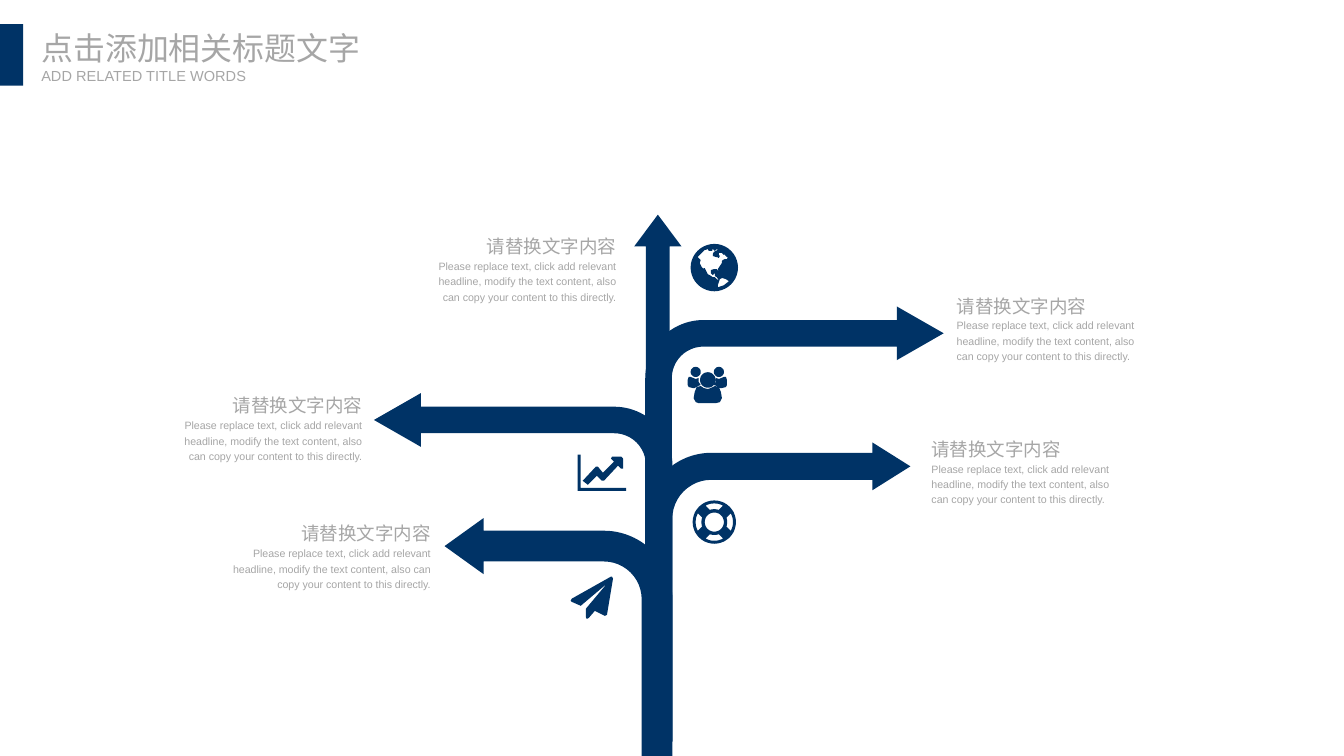
from dataclasses import dataclass
from math import cos, radians, sin

from pptx import Presentation
from pptx import util as u
from pptx.dml.color import RGBColor
from pptx.enum import shapes, text

# ---- Content: lengths in columns and rows of a 1333 x 750 grid ----
COLUMNS, ROWS = 1333, 750
TITLE = "点击添加相关标题文字"
SUBTITLE = "ADD RELATED TITLE WORDS"
HEADLINE = "请替换文字内容"
BODY = ("Please replace text, click add relevant headline, modify the text "
        "content, also can copy your content to this directly.")

MARKER = (0, 24, 23, 61)
TRUNK = ((629, 213, 47, 523), (0.5, 0.671))
# box, points left, adjustments
BRANCHES = [
    ((640, 304, 296, 432), False, (0.089, 0.09, 0.157, 0.195)),
    ((371, 390, 296, 345), True, (0.089, 0.09, 0.157, 0.195)),
    ((640, 439, 263, 297), False, (0.102, 0.09, 0.143, 0.249)),
    ((441, 514, 226, 236), True, (0.135, 0.123, 0.171, 0.301)),
]
# box, reads towards the trunk on its right
CAPTIONS = [
    ((219, 509, 218, 83), True),
    ((154, 382, 215, 83), True),
    ((914, 425, 215, 83), False),
    ((406, 224, 215, 83), True),
    ((939, 283, 215, 83), False),
]


@dataclass(frozen=True)
class Theme:
    navy: RGBColor = RGBColor(0x00, 0x33, 0x66)
    grey: RGBColor = RGBColor(0xA6, 0xA6, 0xA6)
    latin: str = "Arial"
    chinese: str = "Noto Sans CJK SC"
    title: float = 22.8
    subtitle: float = 10.4
    headline: float = 13.2
    body: float = 7.6


THEME = Theme()


def arc(cx, cy, radius, start=0, end=360, steps=40):
    """Points along a circular arc, angles in degrees."""
    angles = [radians(start + (end - start) * i / steps) for i in range(steps + 1)]
    return [(cx + radius * cos(a), cy + radius * sin(a)) for a in angles]


def buoy_window(angle):
    """One gap between the outer rim and the inner ring of the buoy."""
    return (arc(21.5, 22, 18.5, angle - 28, angle + 28, 12)
            + arc(21.5, 22, 12.8, angle + 20, angle - 20, 12))


# ---- Icon outlines, relative to each icon's top left corner ----
PLANE = [[(42, 2), (36, 38), (34, 39), (24, 34), (18, 41), (16, 42), (15, 40),
          (15, 32), (36, 7), (10, 29), (1, 25), (0, 24), (1, 22), (40, 0), (41, 0)]]

GROWTH = [
    [(0, 0), (3, 0), (3, 33), (48, 33), (48, 36), (0, 36)],
    [(45, 14), (43, 14), (40, 11), (26, 26), (24, 26), (19, 21), (10, 30), (5, 26),
     (18, 12), (20, 12), (25, 18), (36, 7), (33, 4), (34, 2), (43, 2), (45, 4)],
]

BUOY = [arc(21.5, 22, 21.5), arc(21.5, 22, 9.5)]
BUOY += [buoy_window(angle) for angle in range(0, 360, 90)]

SHOULDER = [(7, 21), (5, 21), (1, 20), (0, 18), (0, 13), (1, 10), (3, 10), (8, 12),
            (11, 11), (11, 13), (11, 15), (13, 18), (10, 19)]
TORSO = [(11, 36), (8, 35), (6, 31), (7, 25), (9, 20), (13, 19), (16, 21), (20, 22),
         (23, 21), (27, 19), (31, 20), (33, 25), (34, 31), (32, 35), (28, 36)]
PEOPLE = [SHOULDER, [(39 - x, y) for x, y in SHOULDER], TORSO,
          arc(8, 5, 5), arc(31, 5, 5), arc(20, 13, 7.7)]

NORTH_AMERICA = [
    (31, 17), (32, 16), (34, 15), (36, 15), (37, 13), (36, 13), (35, 12), (34, 11),
    (34, 10), (33, 11), (32, 10), (31, 9), (28, 9), (28, 11), (29, 12), (28, 14),
    (27, 14), (27, 13), (25, 13), (22, 12), (22, 10), (23, 8), (25, 7), (27, 6),
    (26, 5), (25, 6), (24, 7), (22, 5), (21, 5), (22, 6), (21, 7), (18, 7), (17, 5),
    (15, 6), (14, 6), (7, 13), (8, 14), (10, 16), (9, 19), (11, 23), (12, 24),
    (15, 28), (13, 25), (13, 24), (14, 24), (16, 28), (17, 30), (19, 31), (22, 33),
    (24, 33), (26, 35), (28, 36), (26, 33), (24, 32), (24, 29), (22, 31), (20, 29),
    (20, 26), (23, 25), (26, 25), (28, 28), (27, 25), (29, 22), (31, 19)]
SOUTH_AMERICA = [(38, 37), (35, 35), (32, 34), (31, 34), (29, 35), (28, 38),
                 (27, 41), (27, 43), (33, 41)]
GLOBE = [arc(23.5, 23.5, 23.5), NORTH_AMERICA, SOUTH_AMERICA]

ICONS = [((566, 572), PLANE), ((685, 242), GLOBE), ((573, 451), GROWTH),
         ((687, 496), BUOY), ((682, 364), PEOPLE)]

# ---- Drawing ----
CELL = u.Inches(0.01)
FINE = 10  # outline steps per grid cell


def cells(lengths):
    return [length * CELL for length in lengths]


def paint(shape):
    shape.shadow.inherit = False
    shape.fill.solid()
    shape.fill.fore_color.rgb = THEME.navy
    shape.line.fill.background()


def add_solid(slide, kind, box, adjustments=(), mirrored=False):
    shape = slide.shapes.add_shape(kind, *cells(box))
    for i, value in enumerate(adjustments):
        shape.adjustments[i] = value
    if mirrored:
        shape._element.spPr.xfrm.set("flipH", "1")
    paint(shape)


def add_icon(slide, corner, outlines):
    def fine(outline):
        return [(x * FINE, y * FINE) for x, y in outline]

    first, *others = map(fine, outlines)
    builder = slide.shapes.build_freeform(*first[0], scale=CELL / FINE)
    builder.add_line_segments(first[1:], close=True)
    for outline in others:
        builder.move_to(*outline[0])
        builder.add_line_segments(outline[1:], close=True)
    paint(builder.convert_to_shape(*cells(corner)))


def add_text(slide, box, lines, font=THEME.latin, align=text.PP_ALIGN.LEFT,
             spacing=None, wrap=True, inset=True):
    """Text box with one paragraph per (wording, size) pair."""
    frame = slide.shapes.add_textbox(*cells(box)).text_frame
    frame.word_wrap = wrap
    frame.auto_size = text.MSO_AUTO_SIZE.SHAPE_TO_FIT_TEXT
    if not inset:
        frame.margin_left = frame.margin_right = 0
        frame.margin_top = frame.margin_bottom = 0
    for i, (wording, size) in enumerate(lines):
        paragraph = frame.add_paragraph() if i else frame.paragraphs[0]
        paragraph.alignment = align
        paragraph.line_spacing = spacing
        run = paragraph.add_run()
        run.text = wording
        run.font.name = font
        run.font.size = u.Pt(size)
        run.font.color.rgb = THEME.grey


def main():
    deck = Presentation()
    deck.slide_width, deck.slide_height = cells((COLUMNS, ROWS))
    slide = deck.slides.add_slide(deck.slide_layouts[6])

    add_solid(slide, shapes.MSO_SHAPE.UP_ARROW, *TRUNK)
    for box, points_left, adjustments in BRANCHES:
        add_solid(slide, shapes.MSO_SHAPE.BENT_ARROW, box, adjustments, points_left)
    for box, right_aligned in CAPTIONS:
        align = text.PP_ALIGN.RIGHT if right_aligned else text.PP_ALIGN.LEFT
        add_text(slide, box, [(HEADLINE, THEME.headline), (BODY, THEME.body)],
                 align=align, spacing=1.2)
    for corner, outlines in ICONS:
        add_icon(slide, corner, outlines)

    add_solid(slide, shapes.MSO_SHAPE.RECTANGLE, MARKER)
    add_text(slide, (41, 28, 317, 38), [(TITLE, THEME.title)],
             font=THEME.chinese, wrap=False, inset=False)
    add_text(slide, (41, 66, 206, 18), [(SUBTITLE, THEME.subtitle)],
             wrap=False, inset=False)
    deck.save("out.pptx")


if __name__ == "__main__":
    main()
